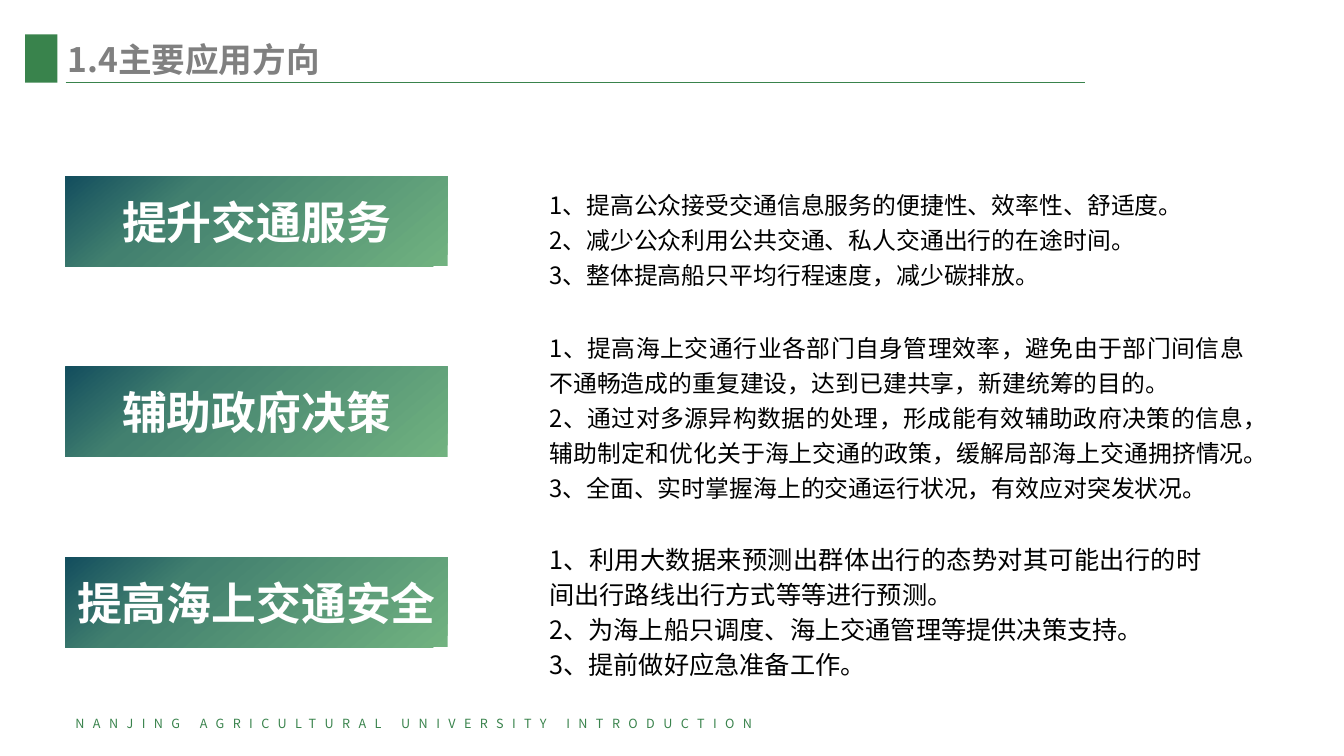
from copy import deepcopy

from pptx import Presentation
from pptx.dml.color import RGBColor
from pptx.enum.shapes import MSO_CONNECTOR, MSO_SHAPE
from pptx.enum.text import MSO_ANCHOR, PP_ALIGN
from pptx.oxml.ns import qn
from pptx.oxml.xmlchemy import OxmlElement
from pptx.util import Inches, Pt

CJK = "Noto Sans CJK SC"
GREEN = "39834C"
BANNER_STOPS = [(0, "71B280"), (0.71, "42806F"), (1, "134E5E")]
BANNER_LEFT, BANNER_WIDTH, BANNER_HEIGHT = 0.65, 3.79, 0.89
FIRST_BANNER_TOP, BANNER_PITCH = 1.75, 1.89
DETAIL_LEFT = 5.35

DIRECTIONS = [
    ("提升交通服务", (1.78, 6.75, 1.12), 17, [
        "1、提高公众接受交通信息服务的便捷性、效率性、舒适度。",
        "2、减少公众利用公共交通、私人交通出行的在途时间。",
        "3、整体提高船只平均行程速度，减少碳排放。",
    ]),
    ("辅助政府决策", (3.2, 7.09, 1.83), 17, [
        "1、提高海上交通行业各部门自身管理效率，避免由于部门间信息不通畅造成的重复建设，达到已建共享，新建统筹的目的。",
        "2、通过对多源异构数据的处理，形成能有效辅助政府决策的信息，辅助制定和优化关于海上交通的政策，缓解局部海上交通拥挤情况。",
        "3、全面、实时掌握海上的交通运行状况，有效应对突发状况。",
    ]),
    ("提高海上交通安全", (5.3, 6.67, 1.48), 18, [
        "1、利用大数据来预测出群体出行的态势对其可能出行的时间出行路线出行方式等等进行预测。",
        "2、为海上船只调度、海上交通管理等提供决策支持。",
        "3、提前做好应急准备工作。",
    ]),
]


def rgb(value):
    """Turn a hex string into a colour."""
    return RGBColor.from_string(value)


def write(frame, lines, size, color, align, font=CJK, bold=False, leading=None, tracking=None):
    """Fill a text frame with evenly formatted paragraphs."""
    frame.word_wrap = True
    for index, line in enumerate(lines):
        paragraph = frame.paragraphs[0] if index == 0 else frame.add_paragraph()
        paragraph.text = line
        paragraph.alignment = align
        if leading:
            paragraph.line_spacing = Pt(leading)
        paragraph.font.name = font
        paragraph.font.size = Pt(size)
        paragraph.font.bold = bold
        paragraph.font.color.rgb = rgb(color)
        defaults = paragraph._p.pPr.find(qn("a:defRPr"))
        east_asian = OxmlElement("a:ea")
        east_asian.set("typeface", CJK)
        defaults.find(qn("a:latin")).addnext(east_asian)
        if tracking:
            defaults.set("spc", str(tracking * 100))


def add_block(slide, left, top, width, height):
    """Add a plain rectangle without outline or shadow."""
    block = slide.shapes.add_shape(
        MSO_SHAPE.RECTANGLE, Inches(left), Inches(top), Inches(width), Inches(height))
    block.shadow.inherit = False
    block.line.fill.background()
    return block


def add_header(slide, left, top, width, height):
    """Place the marker, the title and the rule beneath it."""
    marker = add_block(slide, left, top, 0.32, height)
    marker.fill.solid()
    marker.fill.fore_color.rgb = rgb(GREEN)

    title = slide.shapes.title
    title.left, title.top = Inches(left + 0.32), Inches(top)
    title.width, title.height = Inches(3.79), Inches(0.5)
    title.text_frame.vertical_anchor = MSO_ANCHOR.TOP
    write(title.text_frame, ["1.4主要应用方向"], 24, "808080", PP_ALIGN.LEFT, bold=True)

    rule_y = Inches(top + height)
    rule = slide.shapes.add_connector(
        MSO_CONNECTOR.STRAIGHT, Inches(left + 0.4), rule_y, Inches(left + width), rule_y)
    rule.line.color.rgb = rgb(GREEN)
    rule.line.width = Pt(1)
    rule._element.spPr.append(OxmlElement("a:effectLst"))


def add_banner(slide, label, left, top, width, height):
    """Place a gradient banner with its label."""
    banner = add_block(slide, left, top, width, height)
    banner.fill.gradient()
    banner.fill.gradient_angle = 130
    stop_list = banner._element.spPr.find(qn("a:gradFill")).find(qn("a:gsLst"))
    stop_list.append(deepcopy(stop_list[0]))
    for stop, (position, color) in zip(banner.fill.gradient_stops, BANNER_STOPS):
        stop.position = position
        stop.color.rgb = rgb(color)
    banner.text_frame.vertical_anchor = MSO_ANCHOR.MIDDLE
    write(banner.text_frame, [label], 32, "FFFFFF", PP_ALIGN.CENTER, font="Arial", bold=True)


def add_text(slide, lines, left, top, width, height, size, color, **spacing):
    """Place a justified text box."""
    box = slide.shapes.add_textbox(Inches(left), Inches(top), Inches(width), Inches(height))
    write(box.text_frame, lines, size, color, PP_ALIGN.JUSTIFY, **spacing)


def main():
    """Build the slide and save it."""
    presentation = Presentation()
    presentation.slide_width, presentation.slide_height = Inches(13.33), Inches(7.5)
    slide = presentation.slides.add_slide(presentation.slide_layouts[5])

    add_header(slide, 0.25, 0.34, 10.51, 0.48)
    for row, (label, (top, width, height), size, details) in enumerate(DIRECTIONS):
        add_banner(slide, label, BANNER_LEFT, FIRST_BANNER_TOP + row * BANNER_PITCH,
                   BANNER_WIDTH, BANNER_HEIGHT)
        add_text(slide, details, DETAIL_LEFT, top, width, height, size, "000000", leading=25)
    add_text(slide, ["NANJING AGRICULTURAL UNIVERSITY INTRODUCTION"],
             0.65, 7.05, 12.04, 0.25, 9, GREEN, tracking=6)

    presentation.save("out.pptx")


if __name__ == "__main__":
    main()
